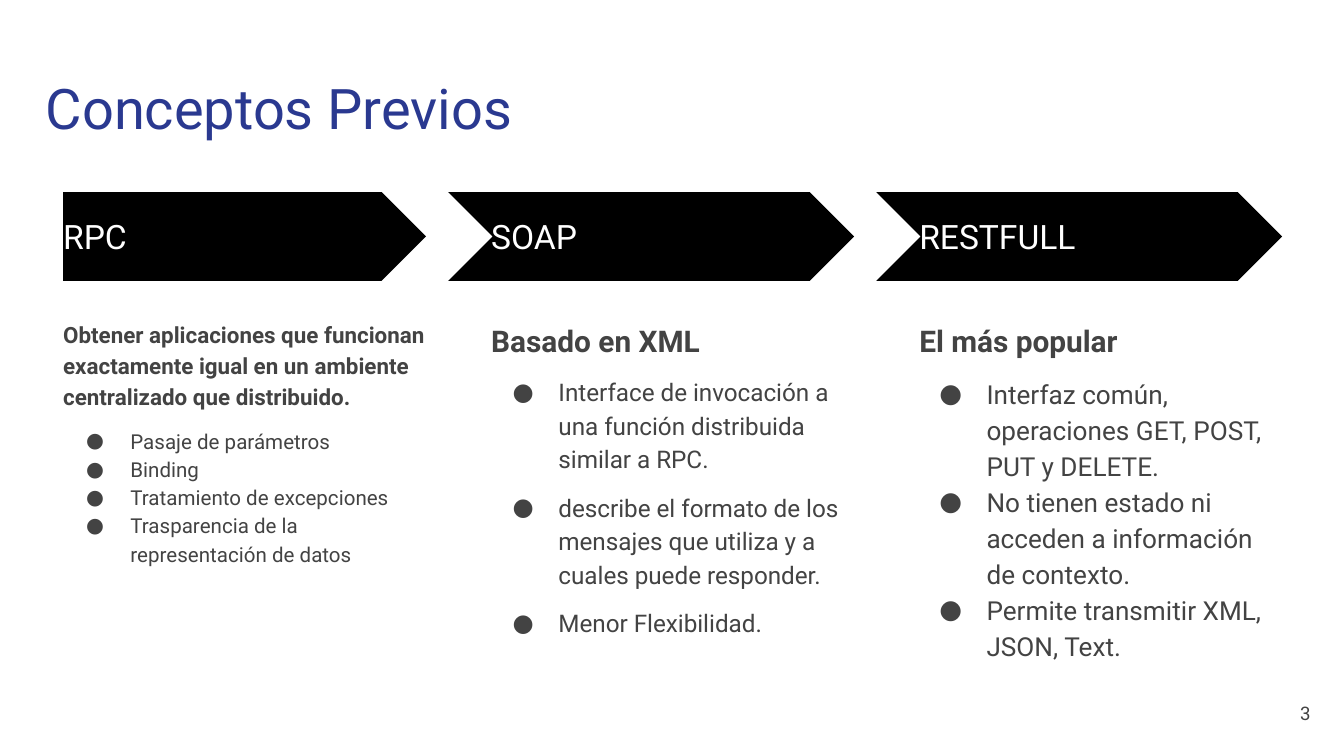
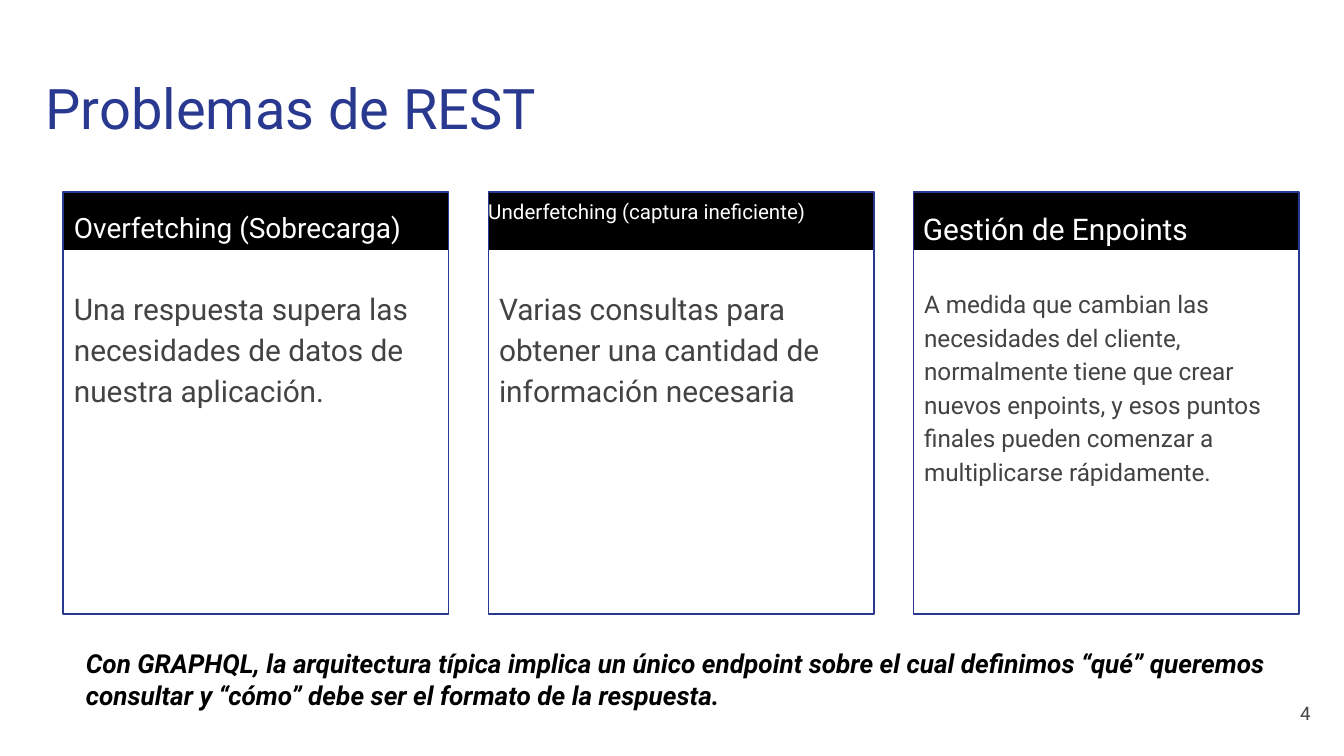
from dataclasses import dataclass

from lxml.etree import SubElement
from pptx import Presentation
from pptx.dml.color import RGBColor
from pptx.enum.shapes import MSO_SHAPE as Preset
from pptx.enum.text import MSO_ANCHOR as Anchor, MSO_AUTO_SIZE as AutoSize, PP_ALIGN as Align
from pptx.oxml.ns import qn
from pptx.util import Inches, Pt

WIDTH, HEIGHT = Inches(10), Inches(5.625)
COLUMN, ROW = WIDTH / 100, HEIGHT / 100  # the grid has 100 columns and 100 rows
FONT = "Roboto"
COLORS = {"title": "2A3990", "text": "434343", "band": "000000", "on_band": "FFFFFF"}
COMPARISON_LAYOUT = 4
COLUMN_TOP = 25.42
LINE_SPACING = 1.15


@dataclass
class Box:
    """A region measured in grid columns and rows."""
    left: float
    top: float
    width: float
    height: float

    def inner(self, left, top, width, height):
        return Box(self.left + left, self.top + top, width, height)

    def emu(self):
        return (round(self.left * COLUMN), round(self.top * ROW),
                round(self.width * COLUMN), round(self.height * ROW))


@dataclass
class Style:
    size: float
    color: str = "text"
    bold: bool = False
    italic: bool = False
    spacing: float = 1.0
    before: float = 0
    after: float = 0
    align: Align = Align.LEFT
    bullet_indent: float = 0


def color(name):
    return RGBColor.from_string(COLORS[name])


def column_boxes(pitch, width, height):
    return [Box(4.7 + i * pitch, COLUMN_TOP, width, height) for i in range(3)]


def format_paragraph(paragraph, style):
    font = paragraph.font
    font.name, font.size = FONT, Pt(style.size)
    font.bold, font.italic = style.bold, style.italic
    font.color.rgb = color(style.color)
    paragraph.alignment = style.align
    paragraph.line_spacing = style.spacing
    paragraph.space_before, paragraph.space_after = Pt(style.before), Pt(style.after)

    properties = paragraph._p.get_or_add_pPr()
    bulleted = style.bullet_indent > 0
    properties.set("marL", str(Inches(0.5) if bulleted else 0))
    properties.set("indent", str(-Inches(style.bullet_indent)))
    # The bullet elements must come before the default run properties.
    defaults = properties.find(qn("a:defRPr"))
    properties.remove(defaults)
    if bulleted:
        bullet_color = SubElement(properties, qn("a:buClr"))
        SubElement(bullet_color, qn("a:srgbClr"), val=COLORS[style.color])
        SubElement(properties, qn("a:buFont"), typeface=FONT)
        SubElement(properties, qn("a:buChar"), char="●")
    else:
        SubElement(properties, qn("a:buNone"))
    properties.append(defaults)


def write(shape, box, lines, anchor=Anchor.TOP, side_margin=0.0):
    """Place a text shape and fill it with (text, style) lines."""
    shape.left, shape.top, shape.width, shape.height = box.emu()
    frame = shape.text_frame
    frame.word_wrap = True
    frame.auto_size = AutoSize.NONE
    frame.vertical_anchor = anchor
    frame.margin_left = frame.margin_right = Inches(side_margin)
    frame.margin_top = frame.margin_bottom = Inches(0.1)
    for i, (text, style) in enumerate(lines):
        paragraph = frame.paragraphs[0] if i == 0 else frame.add_paragraph()
        paragraph.add_run().text = text
        format_paragraph(paragraph, style)


def add_text(slide, box, text, style, **layout):
    write(slide.shapes.add_textbox(*box.emu()), box, [(text, style)], **layout)


def add_preset(shapes, preset, box, fill=None, line=None):
    shape = shapes.add_shape(preset, *box.emu())
    shape.shadow.inherit = False
    if fill:
        shape.fill.solid()
        shape.fill.fore_color.rgb = color(fill)
    else:
        shape.fill.background()
    if line:
        shape.line.color.rgb = color(line)
        shape.line.width = Pt(0.75)
    else:
        shape.line.fill.background()
    return shape


def add_base_slide(presentation, title, number):
    """Add a slide with its title and number; return it with three body placeholders."""
    slide = presentation.slides.add_slide(presentation.slide_layouts[COMPARISON_LAYOUT])
    write(slide.shapes.title, Box(3.4, 8, 93.2, 11.73), [(title, Style(30, "title"))])
    add_text(slide, Box(92.5, 90.5, 6, 7.65), str(number), Style(10, align=Align.RIGHT),
             anchor=Anchor.MIDDLE, side_margin=0.1)
    *bodies, spare = list(slide.placeholders)[1:]
    spare.element.getparent().remove(spare.element)
    return slide, bodies


def add_concept(slide, body, box, first, concept):
    """Draw an arrow with its name, and a heading with bullets below."""
    name, heading, heading_size, items, item_size, indent, gap = concept
    notch = 0 if first else 3.2
    preset = Preset.PENTAGON if first else Preset.CHEVRON
    arrow_box = box.inner(-notch, 0, box.width + notch, 11.73)
    add_preset(slide.shapes, preset, arrow_box, fill="band")
    add_text(slide, box.inner(0, 2.84, 24.7, 6.04), name, Style(18, "on_band"),
             anchor=Anchor.MIDDLE)
    lines = [(heading, Style(heading_size, bold=True, spacing=LINE_SPACING))]
    for i, item in enumerate(items):
        before = 8 if i == 0 else gap
        lines.append((item, Style(item_size, spacing=LINE_SPACING, before=before,
                                  bullet_indent=indent)))
    write(body, box.inner(0, 14.76, box.width, 51.56), lines)


def add_problem(slide, body, box, problem):
    """Draw a framed card with a dark header band."""
    name, name_size, (name_left, name_top), text, text_size = problem
    card = slide.shapes.add_group_shape().shapes
    add_preset(card, Preset.RECTANGLE, box.inner(0, 0, box.width, 7.64), fill="band")
    add_preset(card, Preset.RECTANGLE, box, line="title")
    add_text(slide, box.inner(name_left, name_top, box.width - name_left, 9), name,
             Style(name_size, "on_band", spacing=LINE_SPACING))
    write(body, box.inner(0.8, 10.49, 27.1, 45),
          [(text, Style(text_size, spacing=LINE_SPACING, after=16))])


def build_concepts(presentation):
    concepts = [
        ("RPC",
         "Obtener aplicaciones que funcionan exactamente igual en un ambiente "
         "centralizado que distribuido.", 12,
         ["Pasaje de parámetros", "Binding", "Tratamiento de excepciones",
          "Trasparencia de la representación de datos"], 11, 0.33, 0),
        ("SOAP", "Basado en XML", 16,
         ["Interface de invocación a una función distribuida similar a RPC.",
          "describe el formato de los mensajes que utiliza y a cuales puede responder.",
          "Menor Flexibilidad."], 13, 0.34, 8),
        ("RESTFULL", "El más popular", 16,
         ["Interfaz común, operaciones GET, POST, PUT y DELETE.",
          "No tienen estado ni acceden a información de contexto.",
          "Permite transmitir XML, JSON, Text."], 14, 0.35, 0),
    ]
    slide, bodies = add_base_slide(presentation, "Conceptos Previos", 3)
    boxes = column_boxes(pitch=31.85, width=27, height=66.32)
    for i, (body, box, concept) in enumerate(zip(bodies, boxes, concepts)):
        add_concept(slide, body, box, i == 0, concept)


def build_problems(presentation):
    problems = [
        ("Overfetching (Sobrecarga)", 15, (0.8, 0),
         "Una respuesta supera las necesidades de datos de nuestra aplicación.", 16),
        ("Underfetching (captura ineficiente)", 11, (0, -1.42),
         "Varias consultas para obtener una cantidad de información necesaria", 16),
        ("Gestión de Enpoints", 16, (0.7, 0),
         "A medida que cambian las necesidades del cliente, normalmente tiene que crear "
         "nuevos enpoints, y esos puntos finales pueden comenzar a multiplicarse "
         "rápidamente.", 13),
    ]
    slide, bodies = add_base_slide(presentation, "Problemas de REST", 4)
    boxes = column_boxes(pitch=31.63, width=28.7, height=55.82)
    for body, box, problem in zip(bodies, boxes, problems):
        add_problem(slide, body, box, problem)
    add_text(slide, Box(5.4, 83.91, 91.2, 16),
             "Con GRAPHQL, la arquitectura típica implica un único endpoint sobre el cual "
             "definimos “qué” queremos consultar y “cómo” debe ser el formato de la "
             "respuesta.",
             Style(14, "band", bold=True, italic=True), side_margin=0.1)


def main():
    presentation = Presentation()
    presentation.slide_width, presentation.slide_height = WIDTH, HEIGHT
    build_concepts(presentation)
    build_problems(presentation)
    presentation.save("out.pptx")


if __name__ == "__main__":
    main()
